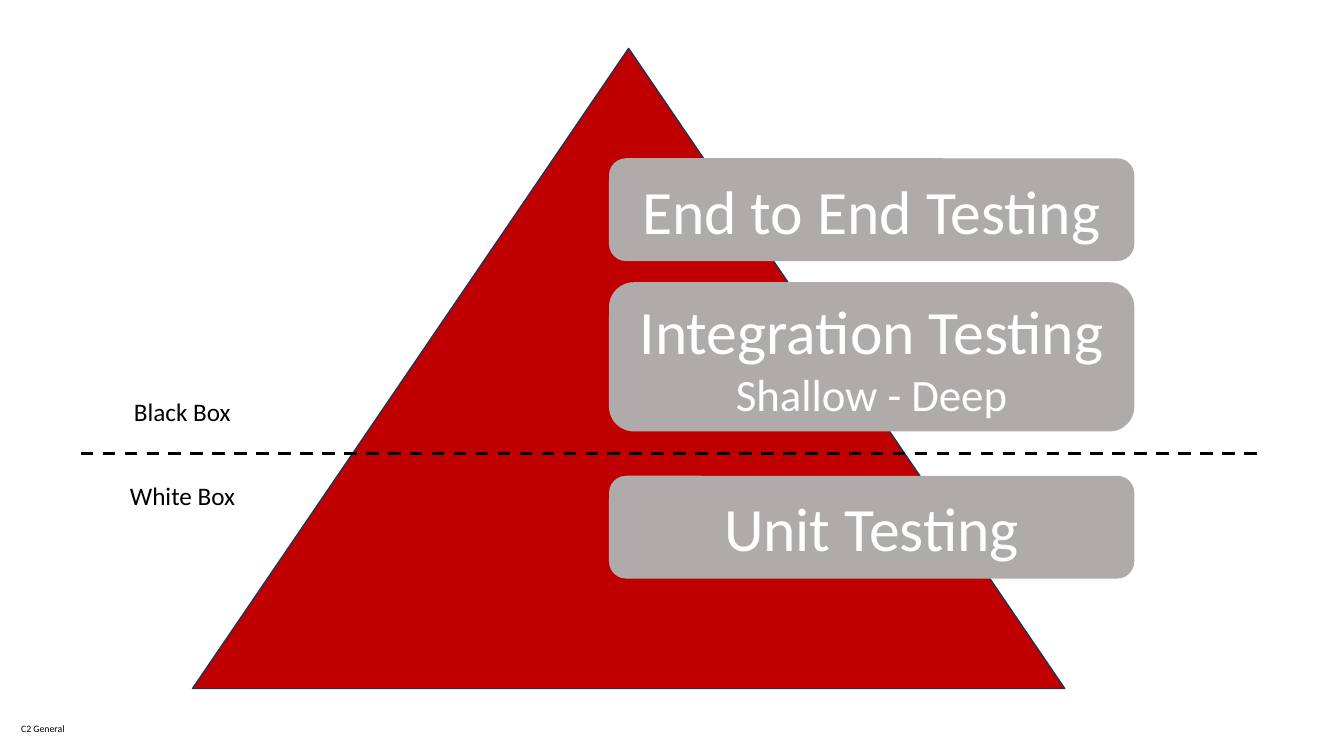
import dataclasses

import pptx
import pptx.dml.color
import pptx.enum.dml
import pptx.enum.shapes
import pptx.enum.text
import pptx.oxml
import pptx.util

Inches = pptx.util.Inches
Shape = pptx.enum.shapes.MSO_SHAPE
Align = pptx.enum.text.PP_ALIGN
Anchor = pptx.enum.text.MSO_ANCHOR
NS = 'xmlns:a="http://schemas.openxmlformats.org/drawingml/2006/main"'


@dataclasses.dataclass(frozen=True)
class Theme:
    font: str = "Calibri"
    red: str = "C00000"
    navy: str = "1E3256"
    grey: str = "AFABAB"
    white: str = "FFFFFF"
    black: str = "000000"
    head: int = 44
    sub: int = 32
    label: int = 18
    foot: int = 7


class Board:
    """Holds the theme and the slide being drawn."""

    def __init__(self, slide, theme):
        self.slide = slide
        self.theme = theme

    def color(self, code):
        return pptx.dml.color.RGBColor.from_string(code)

    def add_run(self, para, text, size, code):
        run = para.add_run()
        run.text = text
        run.font.name = self.theme.font
        run.font.size = pptx.util.Pt(size)
        run.font.color.rgb = self.color(code)

    def shape(self, kind, box, fill, edge=None):
        item = self.slide.shapes.add_shape(kind, *map(Inches, box))
        item.shadow.inherit = False
        item.fill.solid()
        item.fill.fore_color.rgb = self.color(fill)
        if edge:
            item.line.color.rgb = self.color(edge)
            item.line.width = pptx.util.Pt(1)
        else:
            item.line.fill.background()
        return item

    def level(self, box, lines):
        """Draw a rounded box; lines are (text, size) pairs, one per row."""
        item = self.shape(Shape.ROUNDED_RECTANGLE, box, self.theme.grey)
        frame = item.text_frame
        frame.word_wrap = True
        frame.vertical_anchor = Anchor.MIDDLE
        para = frame.paragraphs[0]
        para.alignment = Align.CENTER
        for row, (text, size) in enumerate(lines):
            if row:
                para.add_line_break()
            self.add_run(para, text, size, self.theme.white)

    def label(self, box, text, size, inset=True):
        frame = self.slide.shapes.add_textbox(*map(Inches, box)).text_frame
        frame.word_wrap = False
        frame.auto_size = pptx.enum.text.MSO_AUTO_SIZE.SHAPE_TO_FIT_TEXT
        if not inset:
            frame.margin_left = frame.margin_right = 0
            frame.margin_top = frame.margin_bottom = 0
        self.add_run(frame.paragraphs[0], text, size, self.theme.black)

    def divide(self, left, right, y):
        """Draw the dashed line between the two kinds of testing."""
        line = self.slide.shapes.add_connector(
            pptx.enum.shapes.MSO_CONNECTOR.STRAIGHT,
            Inches(left), Inches(y), Inches(right), Inches(y))
        line.line.color.rgb = self.color(self.theme.black)
        line.line.width = pptx.util.Pt(2.25)
        line.line.dash_style = pptx.enum.dml.MSO_LINE.DASH
        props = line._element.spPr
        props.append(pptx.oxml.parse_xml(f"<a:effectLst {NS}/>"))


def main():
    deck = pptx.Presentation()
    deck.slide_width, deck.slide_height = Inches(13.33), Inches(7.5)
    theme = Theme()
    board = Board(deck.slides.add_slide(deck.slide_layouts[6]), theme)

    board.label((0.21, 7.17, 0.46, 0.12), "C2 General", theme.foot, inset=False)
    board.shape(Shape.ISOSCELES_TRIANGLE, (1.91, 0.48, 8.65, 6.35),
                theme.red, theme.navy)

    levels = [
        (1.57, 1.02, [("End to End Testing", theme.head)]),
        (2.8, 1.48, [("Integration Testing", theme.head),
                     ("Shallow - Deep", theme.sub)]),
        (4.72, 1.02, [("Unit Testing", theme.head)]),
    ]
    for top, height, lines in levels:
        board.level((6.04, top, 5.21, height), lines)

    board.divide(0.8, 12.54, 4.5)
    board.label((1.23, 3.88, 1.17, 0.4), "Black Box", theme.label)
    board.label((1.19, 4.72, 1.26, 0.4), "White Box", theme.label)
    deck.save("out.pptx")


if __name__ == "__main__":
    main()
